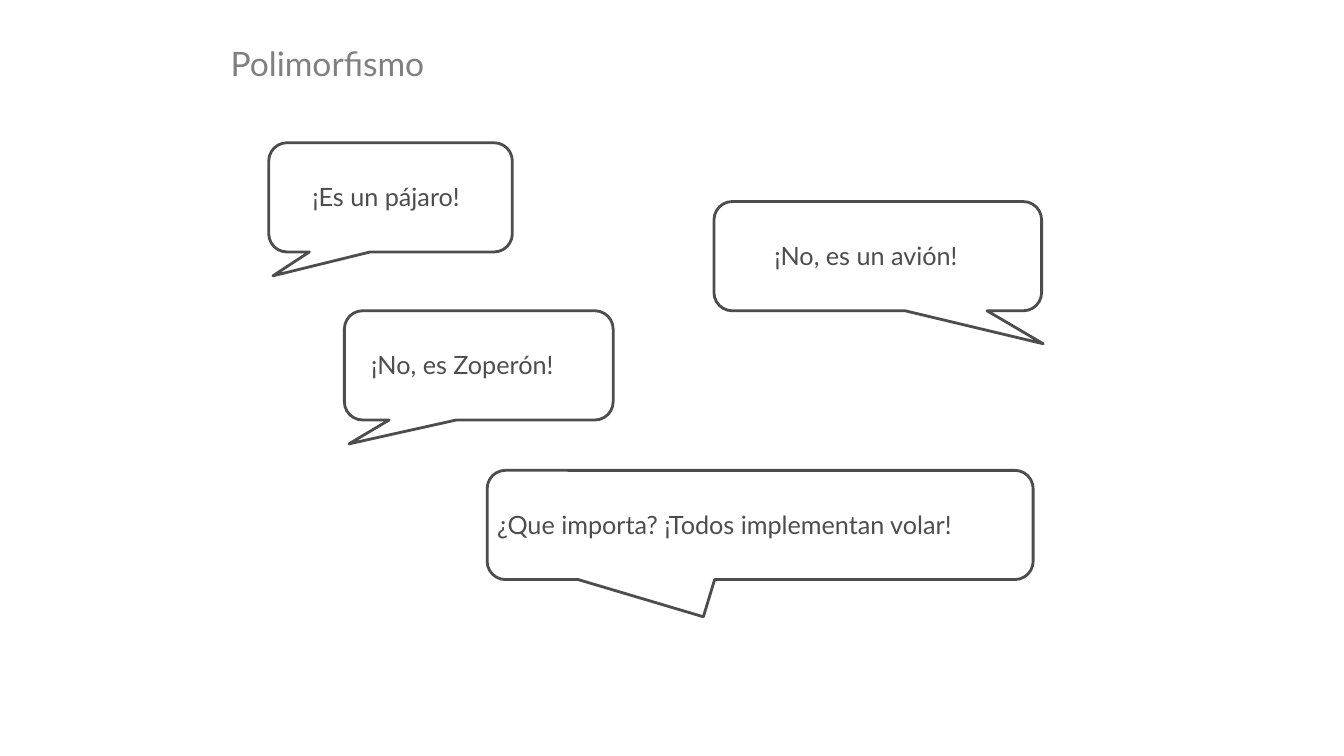
import dataclasses

import pptx
import pptx.dml.color
import pptx.enum.shapes
import pptx.enum.text
import pptx.slide
import pptx.text.text
import pptx.util

Pt = pptx.util.Pt

COLORS = {"paper": "FFFFFF", "ink": "4D4D4D", "title": "808080"}
FONT_NAME = "Lato"
BUBBLE_HEIGHT = 78
CORNER_RADIUS = 0.167
TEXT_DROP = 24
TEXT_HEIGHT = 28.8


@dataclasses.dataclass(frozen=True)
class Bubble:
    text: str
    left: float
    top: float
    width: float
    tail_x: float
    tail_y: float
    text_left: float
    text_width: float


BUBBLES = [
    Bubble("¿Que importa? ¡Todos implementan volar!", 348, 336, 390, -0.104, 0.841, 348, 378),
    Bubble("¡Es un pájaro!", 192, 102, 174, -0.483, 0.719, 216, 127.4),
    Bubble("¡No, es un avión!", 510, 144, 234, 0.505, 0.802, 546, 152),
    Bubble("¡No, es Zoperón!", 246, 222, 192, -0.483, 0.719, 258, 167),
]


def color(name: str) -> pptx.dml.color.RGBColor:
    return pptx.dml.color.RGBColor.from_string(COLORS[name])


def write_text(frame: pptx.text.text.TextFrame, text: str, size: float, color_name: str) -> None:
    frame.word_wrap = True
    frame.vertical_anchor = pptx.enum.text.MSO_ANCHOR.TOP
    paragraph = frame.paragraphs[0]
    paragraph.alignment = pptx.enum.text.PP_ALIGN.LEFT
    run = paragraph.add_run()
    run.text = text
    run.font.name = FONT_NAME
    run.font.size = Pt(size)
    run.font.color.rgb = color(color_name)


def add_title(slide: pptx.slide.Slide, text: str) -> None:
    title = slide.shapes.title
    title.left, title.top, title.width, title.height = Pt(157.5), Pt(27), Pt(665), Pt(23)
    title.text_frame.auto_size = pptx.enum.text.MSO_AUTO_SIZE.NONE
    write_text(title.text_frame, text, 24, "title")


def add_bubble(slide: pptx.slide.Slide, bubble: Bubble) -> None:
    shape = slide.shapes.add_shape(
        pptx.enum.shapes.MSO_SHAPE.ROUNDED_RECTANGULAR_CALLOUT,
        Pt(bubble.left), Pt(bubble.top), Pt(bubble.width), Pt(BUBBLE_HEIGHT),
    )
    for index, value in enumerate((bubble.tail_x, bubble.tail_y, CORNER_RADIUS)):
        shape.adjustments[index] = value
    shape.shadow.inherit = False
    shape.fill.solid()
    shape.fill.fore_color.rgb = color("paper")
    shape.line.color.rgb = color("ink")
    shape.line.width = Pt(2)

    text_box = slide.shapes.add_textbox(
        Pt(bubble.text_left), Pt(bubble.top + TEXT_DROP), Pt(bubble.text_width), Pt(TEXT_HEIGHT)
    )
    write_text(text_box.text_frame, bubble.text, 18, "ink")
    text_box.text_frame.auto_size = pptx.enum.text.MSO_AUTO_SIZE.SHAPE_TO_FIT_TEXT


def main() -> None:
    presentation = pptx.Presentation()
    presentation.slide_width, presentation.slide_height = Pt(960), Pt(540)
    title_only = presentation.slide_layouts.get_by_name("Title Only")
    slide = presentation.slides.add_slide(title_only)
    add_title(slide, "Polimorfismo")
    for bubble in BUBBLES:
        add_bubble(slide, bubble)
    presentation.save("out.pptx")


if __name__ == "__main__":
    main()
